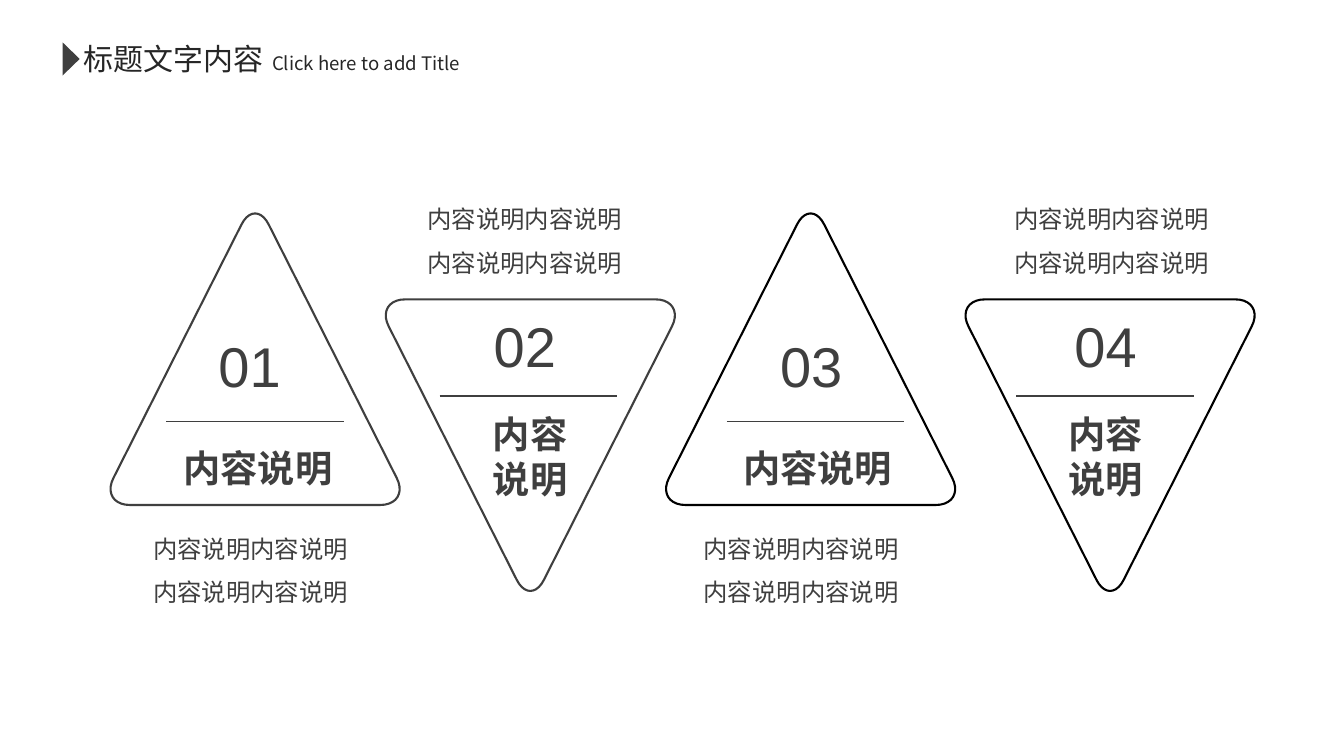
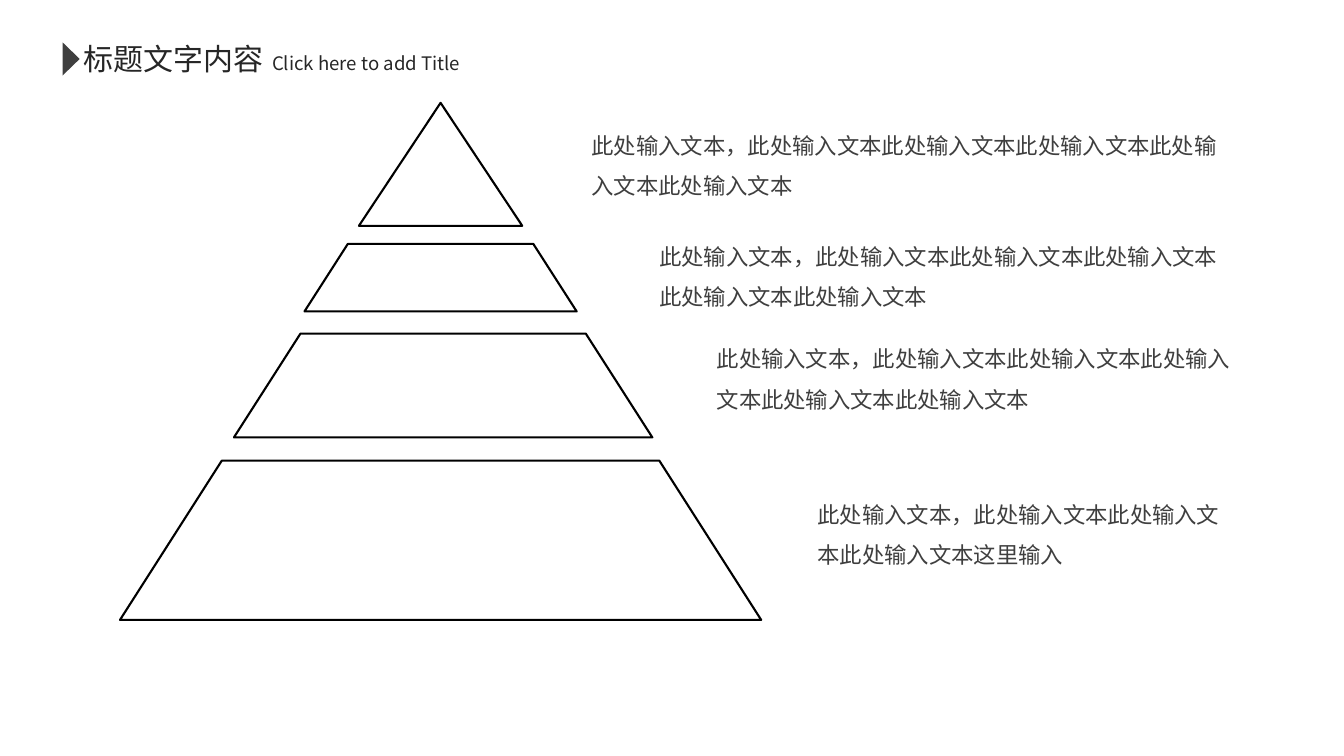
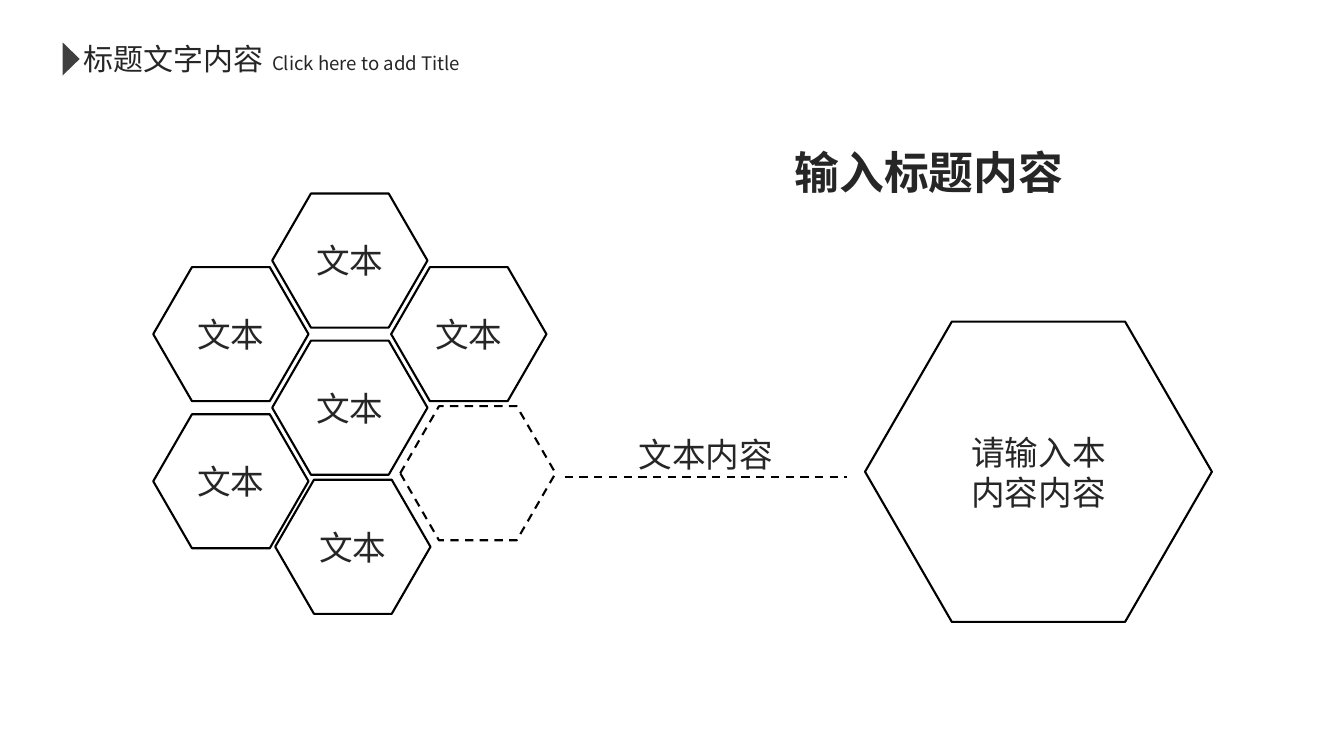
from lxml import etree
from pptx import Presentation
from pptx.dml.color import RGBColor
from pptx.enum.dml import MSO_LINE
from pptx.enum.shapes import MSO_CONNECTOR, MSO_SHAPE
from pptx.enum.text import MSO_ANCHOR, PP_ALIGN
from pptx.oxml.ns import qn
from pptx.util import Emu, Inches, Pt

DASH = MSO_LINE.DASH
STRAIGHT = MSO_CONNECTOR.STRAIGHT
TRI, HEX = MSO_SHAPE.ISOSCELES_TRIANGLE, MSO_SHAPE.HEXAGON
TOP, MID = MSO_ANCHOR.TOP, MSO_ANCHOR.MIDDLE
LEFT, MIDST = PP_ALIGN.LEFT, PP_ALIGN.CENTER

# The grid has cells of one inch: 13.33 columns by 7.5 rows
CELL = Inches(1)
COLS, ROWS = 13.33, 7.5

COLOR = {"page": "FFFFFF", "ink": "262626", "gray": "3F3F3F", "black": "000000"}
CJK = "Noto Sans CJK SC"
ROBOTO = "Roboto Condensed"

# Text formats: font values, paragraph values, colour
STYLE = {
    "title": ({"size": Pt(21.4), "name": CJK}, {"alignment": LEFT}, "ink"),
    "hint": ({"size": Pt(13.3), "name": CJK}, {"alignment": LEFT}, "ink"),
    "count": ({"size": Pt(40), "name": "Arial"}, {"alignment": MIDST}, "gray"),
    "name": ({"size": Pt(26.6), "name": ROBOTO, "bold": True},
             {"alignment": MIDST}, "gray"),
    "tall": ({"size": Pt(26.6), "name": ROBOTO, "bold": True},
             {"alignment": MIDST, "line_spacing": 1.5}, "gray"),
    "note": ({"size": Pt(17.4), "name": ROBOTO},
             {"alignment": LEFT, "line_spacing": 1.5}, "gray"),
    "body": ({"size": Pt(16), "name": CJK},
             {"alignment": LEFT, "line_spacing": 1.5}, "gray"),
    "label": ({"size": Pt(24), "name": "Arial"}, {"alignment": MIDST}, "ink"),
    "big": ({"size": Pt(32), "name": "Arial", "bold": True},
            {"alignment": MIDST}, "ink"),
}


def cells(*counts):
    return [Emu(round(n * CELL)) for n in counts]


def tint(key):
    return RGBColor.from_string(COLOR[key])


def apply(target, values):
    for key, value in values.items():
        setattr(target, key, value)


# Elements
def write(shape, lines, style, anchor=TOP, wrap=False):
    font, para, color = STYLE[style]
    frame = shape.text_frame
    apply(frame, {"word_wrap": wrap, "vertical_anchor": anchor})
    for i, line in enumerate(lines):
        p = frame.add_paragraph() if i else frame.paragraphs[0]
        apply(p, para)
        run = p.add_run()
        run.text = line
        run.font.color.rgb = tint(color)
        apply(run.font, font)
        asian = etree.SubElement(run.font._element, qn("a:ea"))
        asian.set("typeface", CJK)


def text(slide, box, lines, style, **kind):
    write(slide.shapes.add_textbox(*cells(*box)), lines, style, **kind)


def stroke(shape, color="black", width=1.5, dash=None):
    shape.line.color.rgb = tint(color)
    apply(shape.line, {"width": Pt(width), "dash_style": dash})


def hollow(shape, **kind):
    shape.shadow.inherit = False
    shape.fill.background()
    stroke(shape, **kind)


def outline(slide, points, **kind):
    start, *rest = [cells(*point) for point in points]
    build = slide.shapes.build_freeform(*start, scale=1.0)
    build.add_line_segments(rest, close=True)
    hollow(build.convert_to_shape(), **kind)


def rule(slide, left, right, y, **kind):
    line = slide.shapes.add_connector(STRAIGHT, *cells(left, y, right, y))
    stroke(line, **kind)
    etree.SubElement(line._element.spPr, qn("a:effectLst"))


def hexa(slide, box, lines=(), **kind):
    shape = slide.shapes.add_shape(HEX, *cells(*box))
    shape.adjustments[0] = 0.289
    shape.adjustments[1] = 1.155
    hollow(shape, **kind)
    if lines:
        write(shape, lines, "label", MID)


def toward(a, b, share):
    return tuple(m + (n - m) * share for m, n in zip(a, b))


def soften(corners, cut=0.3, pull=0.55, steps=10):
    """Points of a polygon whose corners are rounded by cubic curves."""
    points = []
    for i, tip in enumerate(corners):
        ends = []
        for near in (corners[i - 1], corners[(i + 1) % len(corners)]):
            span = sum((m - n) ** 2 for m, n in zip(tip, near)) ** 0.5
            ends.append(toward(tip, near, cut / span))
        a, d = ends
        b, c = toward(a, tip, pull), toward(d, tip, pull)
        for k in range(steps + 1):
            t = k / steps
            mix = ((1 - t) ** 3, 3 * t * (1 - t) ** 2, 3 * t * t * (1 - t), t ** 3)
            points.append(tuple(sum(w * p[axis] for w, p in zip(mix, (a, b, c, d)))
                                for axis in (0, 1)))
    return points


def start(deck):
    slide = deck.slides.add_slide(deck.slide_layouts[6])
    fill = slide.background.fill
    fill.solid()
    fill.fore_color.rgb = tint("page")
    text(slide, (0.73, 0.35, 2, 0.46), ["标题文字内容"], "title")
    mark = slide.shapes.add_shape(TRI, *cells(0.54, 0.5, 0.33, 0.17))
    mark.rotation = 90
    mark.shadow.inherit = False
    mark.fill.solid()
    mark.fill.fore_color.rgb = tint("gray")
    mark.line.fill.background()
    text(slide, (2.6, 0.47, 2.07, 0.33), ["Click here to add Title"], "hint")
    return slide


# Slide 1: four triangles, in turn upright and upside down
def peaks(deck):
    slide = start(deck)
    # upright or not: base, tip, count, rule, name and note rows, name height
    up = (5.01, 1.96, 3.24, 4.18, 4.15, 5.1, 0.69, "tall", ["内容说明"])
    down = (2.97, 6.02, 3.04, 3.93, 4.03, 1.83, 1, "name", ["内容", "说明"])
    # centres of the triangle, count, rule, name and note
    items = [(2.53, 2.47, 2.53, 2.56, 2.5, "gray"),
             (5.26, 5.2, 5.24, 5.26, 5.22, "gray"),
             (8.04, 8.04, 8.09, 8.11, 7.96, "black"),
             (11.01, 10.96, 10.96, 10.97, 11.04, "black")]
    half, reach = 1.54, 0.88
    for i, (mid, count, bar, name, note, color) in enumerate(items):
        base, tip, row, line, low, far, tall, style, words = down if i % 2 else up
        outline(slide, soften([(mid - half, base), (mid, tip), (mid + half, base)]),
                color=color)
        text(slide, (count - 0.52, row, 1.05, 0.77), [f"{i + 1:02d}"], "count")
        rule(slide, bar - reach, bar + reach, line, color="gray", width=1)
        text(slide, (name - 0.85, low, 1.7, tall), words, style)
        text(slide, (note - 1.08, far, 2.15, 0.92), ["内容说明内容说明"] * 2, "note")


# Slide 2: pyramid of four tiers with a text beside each
def tiers(deck):
    slide = start(deck)
    peak = slide.shapes.add_shape(TRI, *cells(3.56, 1.02, 1.62, 1.22))
    hollow(peak)
    # top and base row, then left and right ends of both edges
    for top, base, tl, tr, bl, br in [(2.42, 3.09, 3.45, 5.29, 3.02, 5.72),
                                      (3.31, 4.34, 2.98, 5.81, 2.32, 6.47),
                                      (4.57, 6.15, 2.2, 6.54, 1.19, 7.55)]:
        outline(slide, [(br, base), (tr, top), (tl, top), (bl, base)])
    phrase, edge = "此处输入文本", 12.33
    full = phrase + "，" + phrase * 5
    last = phrase + "，" + phrase * 3 + "这里输入"
    for left, top, words in [(5.77, 1.32, full), (6.44, 2.42, full),
                             (7.01, 3.44, full), (8.01, 4.98, last)]:
        text(slide, (left, top, edge - left, 0.51), [words], "body",
             anchor=MID, wrap=True)


# Slide 3: honeycomb that leads to one large cell
def comb(deck):
    slide = start(deck)
    size = (1.54, 1.33)
    left, top, step, rise = 1.52, 1.92, 1.18, 0.73
    spots = [(left + col * step, top + row * rise)
             for col, row in [(1, 0), (0, 1), (1, 2), (2, 1), (0, 3)]]
    for spot in spots + [(2.73, 4.76)]:
        hexa(slide, spot + size, ["文本"])
    hexa(slide, (3.97, 4.03) + size, dash=DASH)
    rule(slide, 5.6, 8.4, 4.73, dash=DASH)
    hexa(slide, (8.58, 3.19, 3.44, 2.98), ["请输入本", "内容内容"])
    text(slide, (5.78, 4.28, 2.44, 0.45), ["文本内容"], "label", anchor=MID)
    text(slide, (6.59, 1.11, 5.25, 1.18), ["输入标题内容"], "big", anchor=MID)


def main():
    deck = Presentation()
    deck.slide_width, deck.slide_height = cells(COLS, ROWS)
    for build in (peaks, tiers, comb):
        build(deck)
    deck.save("out.pptx")


if __name__ == "__main__":
    main()
